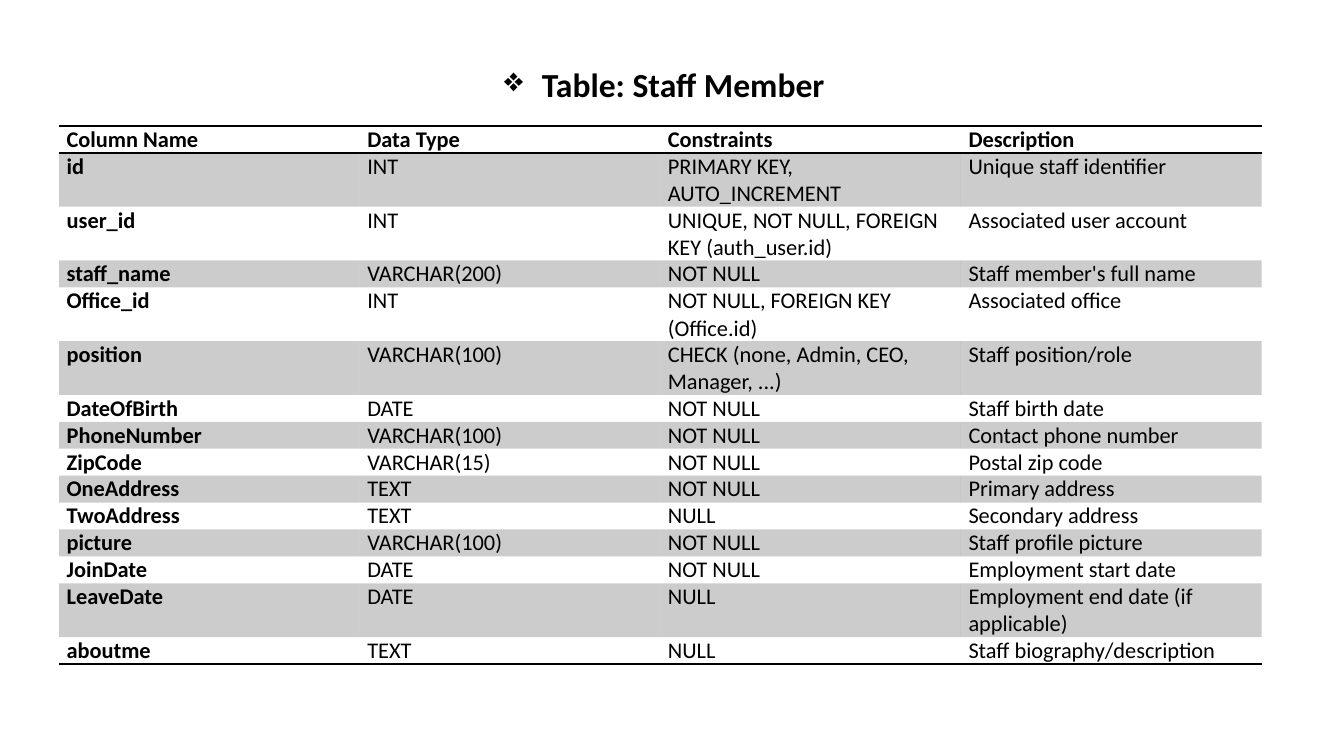
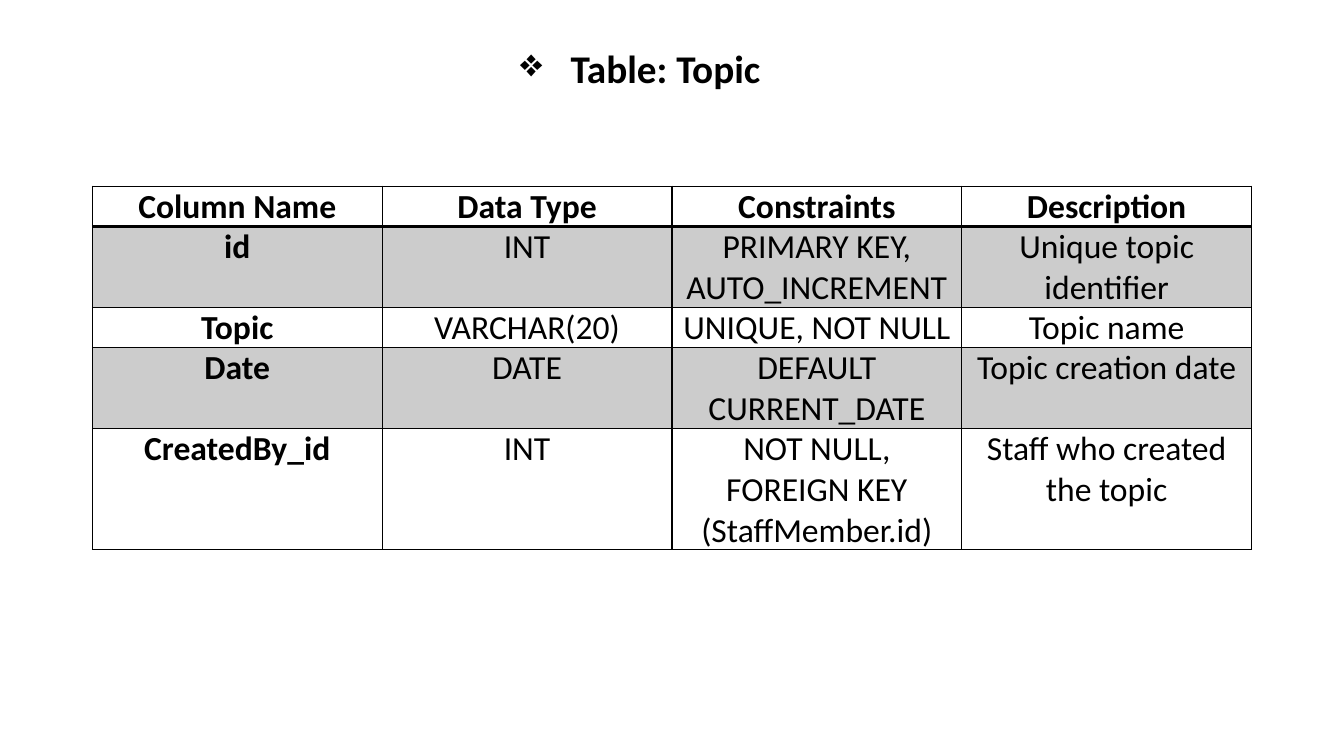
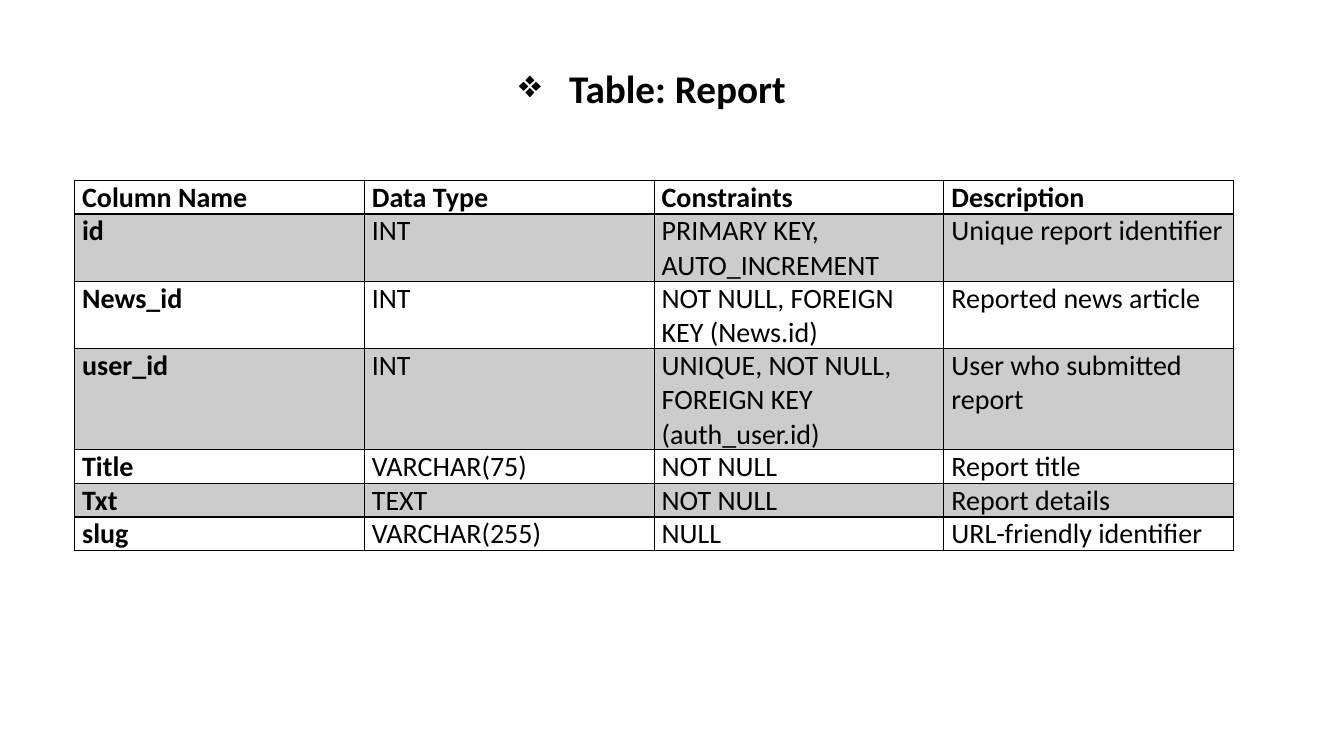
from lxml.etree import SubElement
from pptx import Presentation
from pptx.dml.color import RGBColor
from pptx.enum.text import MSO_AUTO_SIZE as AutoSize, PP_ALIGN as Align
from pptx.oxml.ns import qn
from pptx.util import Pt

FONT = "Calibri"
BLACK = "000000"
BAND_OPACITY = 20
BULLET = "❖"
LINE_SPACING = 1.2
CELL_INSET = 5.4
PLAIN_TABLE_STYLE = "{2D5ABB26-0587-4C30-8999-92F81FD0307C}"
HEADER = ("Column Name", "Data Type", "Constraints", "Description")

TABLES = [
    {
        "title": "Table: Staff Member",
        "title_box": (353, 42, 247, 36),
        "title_size": 24,
        "indent": 27,
        "table_at": (42.25, 90),
        "column_width": 214.75,
        "size": 16,
        "align": Align.LEFT,
        "grid": False,
        "header_rule": 1,
        "rows": [
            ("id", "INT", "PRIMARY KEY, AUTO_INCREMENT", "Unique staff identifier"),
            ("user_id", "INT", "UNIQUE, NOT NULL, FOREIGN KEY (auth_user.id)", "Associated user account"),
            ("staff_name", "VARCHAR(200)", "NOT NULL", "Staff member's full name"),
            ("Office_id", "INT", "NOT NULL, FOREIGN KEY (Office.id)", "Associated office"),
            ("position", "VARCHAR(100)", "CHECK (none, Admin, CEO, Manager, ...)", "Staff position/role"),
            ("DateOfBirth", "DATE", "NOT NULL", "Staff birth date"),
            ("PhoneNumber", "VARCHAR(100)", "NOT NULL", "Contact phone number"),
            ("ZipCode", "VARCHAR(15)", "NOT NULL", "Postal zip code"),
            ("OneAddress", "TEXT", "NOT NULL", "Primary address"),
            ("TwoAddress", "TEXT", "NULL", "Secondary address"),
            ("picture", "VARCHAR(100)", "NOT NULL", "Staff profile picture"),
            ("JoinDate", "DATE", "NOT NULL", "Employment start date"),
            ("LeaveDate", "DATE", "NULL", "Employment end date (if applicable)"),
            ("aboutme", "TEXT", "NULL", "Staff biography/description"),
        ],
        "line_counts": (1, 2, 2, 1, 2, 2, 1, 1, 1, 1, 1, 1, 1, 2, 1),
    },
    {
        "title": "Table: Topic",
        "title_box": (364.5, 28, 188, 41),
        "title_size": 28,
        "indent": 36,
        "table_at": (66, 133),
        "column_width": 207,
        "size": 24,
        "align": Align.CENTER,
        "grid": True,
        "header_rule": 2,
        "rows": [
            ("id", "INT", "PRIMARY KEY, AUTO_INCREMENT", "Unique topic identifier"),
            ("Topic", "VARCHAR(20)", "UNIQUE, NOT NULL", "Topic name"),
            ("Date", "DATE", "DEFAULT CURRENT_DATE", "Topic creation date"),
            ("CreatedBy_id", "INT", "NOT NULL, FOREIGN KEY (StaffMember.id)", "Staff who created the topic"),
        ],
        "line_counts": (1, 2, 1, 2, 3),
    },
    {
        "title": "Table: Report",
        "title_box": (363.5, 42.5, 207.5, 41),
        "title_size": 28,
        "indent": 36,
        "table_at": (53.25, 129),
        "column_width": 207,
        "size": 20,
        "align": Align.LEFT,
        "grid": True,
        "header_rule": 1.5,
        "rows": [
            ("id", "INT", "PRIMARY KEY, AUTO_INCREMENT", "Unique report identifier"),
            ("News_id", "INT", "NOT NULL, FOREIGN KEY (News.id)", "Reported news article"),
            ("user_id", "INT", "UNIQUE, NOT NULL, FOREIGN KEY (auth_user.id)", "User who submitted report"),
            ("Title", "VARCHAR(75)", "NOT NULL", "Report title"),
            ("Txt", "TEXT", "NOT NULL", "Report details"),
            ("slug", "VARCHAR(255)", "NULL", "URL-friendly identifier"),
        ],
        "line_counts": (1, 2, 2, 3, 1, 1, 1),
    },
]


def color(value):
    return RGBColor.from_string(value)


def apply(target, values):
    for name, value in values.items():
        setattr(target, name, value)


def write(paragraph, text, size, bold):
    run = paragraph.add_run()
    run.text = text
    apply(run.font, {"name": FONT, "size": Pt(size), "bold": bold})
    run.font.color.rgb = color(BLACK)


def add_title(slide, content):
    box = slide.shapes.add_textbox(*map(Pt, content["title_box"]))
    apply(box.text_frame, {"word_wrap": False, "auto_size": AutoSize.SHAPE_TO_FIT_TEXT})
    paragraph = box.text_frame.paragraphs[0]
    properties = paragraph._p.get_or_add_pPr()
    indent = Pt(content["indent"])
    properties.set("marL", str(indent))
    properties.set("indent", str(-indent))
    SubElement(properties, qn("a:buChar"), char=BULLET)
    write(paragraph, content["title"], content["title_size"], True)


def add_borders(cell, widths):
    properties = cell._tc.get_or_add_tcPr()
    for side, width in zip("LRTB", widths):
        line = SubElement(properties, qn(f"a:ln{side}"), w=str(Pt(width)))
        if width:
            fill = SubElement(line, qn("a:solidFill"))
            SubElement(fill, qn("a:srgbClr"), val=BLACK)
        else:
            SubElement(line, qn("a:noFill"))


def fill_band(cell, banded):
    if not banded:
        cell.fill.background()
        return
    cell.fill.solid()
    cell.fill.fore_color.rgb = color(BLACK)
    fill_color = cell._tc.tcPr.find(f".//{qn('a:solidFill')}[last()]/..")
    fill_color = cell._tc.tcPr.find(qn("a:solidFill")).find(qn("a:srgbClr"))
    SubElement(fill_color, qn("a:alpha"), val=str(BAND_OPACITY * 1000))


def add_data_table(slide, content):
    rows = [HEADER] + content["rows"]
    heights = [count * content["size"] * LINE_SPACING for count in content["line_counts"]]
    width = content["column_width"] * len(HEADER)
    frame = slide.shapes.add_table(
        len(rows), len(HEADER), *map(Pt, (*content["table_at"], width, sum(heights)))
    )
    table = frame.table
    apply(table, {"first_row": False, "horz_banding": False})
    table._tbl.tblPr.find(qn("a:tableStyleId")).text = PLAIN_TABLE_STYLE
    for column in table.columns:
        column.width = Pt(content["column_width"])

    inner = 1 if content["grid"] else 0
    rules = [1, content["header_rule"]] + [inner] * (len(rows) - 2) + [1]
    for row_index, values in enumerate(rows):
        table.rows[row_index].height = Pt(heights[row_index])
        for column_index, text in enumerate(values):
            cell = table.cell(row_index, column_index)
            apply(cell, {
                "margin_left": Pt(CELL_INSET), "margin_right": Pt(CELL_INSET),
                "margin_top": 0, "margin_bottom": 0,
            })
            add_borders(cell, (inner, inner, rules[row_index], rules[row_index + 1]))
            fill_band(cell, row_index % 2 == 1)
            paragraph = cell.text_frame.paragraphs[0]
            paragraph.alignment = content["align"]
            write(paragraph, text, content["size"], row_index == 0 or column_index == 0)


def main():
    presentation = Presentation()
    apply(presentation, {"slide_width": Pt(960), "slide_height": Pt(540)})
    for content in TABLES:
        slide = presentation.slides.add_slide(presentation.slide_layouts[6])
        add_title(slide, content)
        add_data_table(slide, content)
    presentation.save("out.pptx")


if __name__ == "__main__":
    main()
